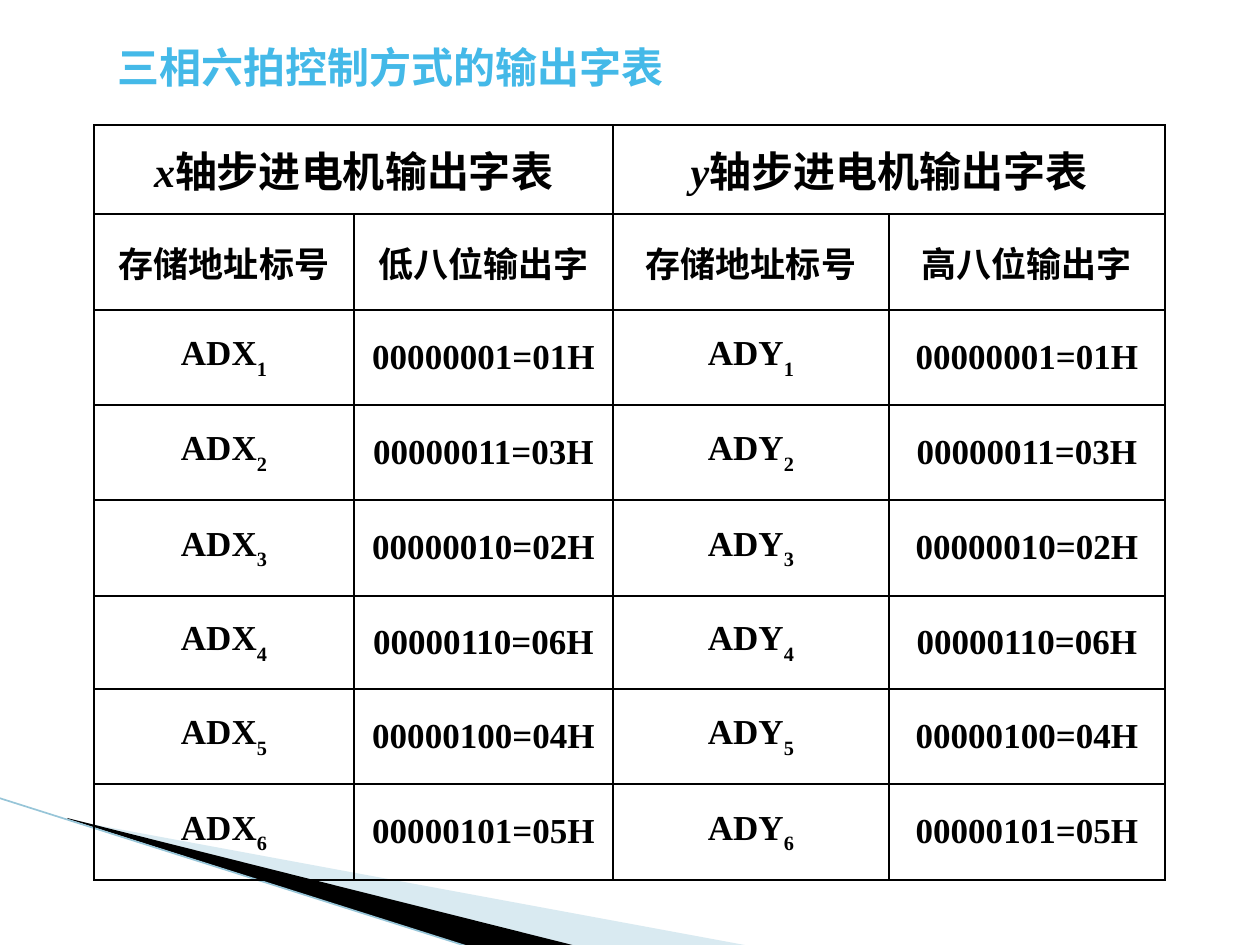
from lxml.etree import SubElement
from pptx import Presentation
from pptx.dml.color import RGBColor
from pptx.enum.shapes import MSO_CONNECTOR as Connector
from pptx.enum.text import MSO_ANCHOR as Anchor, MSO_AUTO_SIZE as AutoSize, PP_ALIGN as Align
from pptx.oxml.ns import qn
from pptx.util import Pt

PX = 7257  # EMU per px, 126 px to the inch
FONT = "Times New Roman"
COLORS = {"title": "44B9E8", "ink": "000000", "pale": "A0CBDC", "edge": "97C5D8"}

COLUMNS = [260, 259, 276, 276]
ROWS = [89, 96, 95, 95, 96, 93, 95, 96]
AXES = ["x", "y"]
SUBHEADS = ["存储地址标号", "低八位输出字", "存储地址标号", "高八位输出字"]
OUTPUT_WORDS = ["00000001=01H", "00000011=03H", "00000010=02H",
                "00000110=06H", "00000100=04H", "00000101=05H"]


def color(name):
    return RGBColor.from_string(COLORS[name])


def style(paragraph, size, ink, align):
    paragraph.alignment = align
    font = paragraph.font
    font.name, font.size, font.bold = FONT, Pt(size), True
    font.color.rgb = color(ink)


def add_title(slide, text):
    title = slide.shapes.title
    title.left, title.top, title.width, title.height = (
        n * PX for n in (105, 35, 575, 63))
    frame = title.text_frame
    frame.text = text
    frame.word_wrap = False
    frame.auto_size = AutoSize.NONE
    frame.vertical_anchor = Anchor.MIDDLE
    style(frame.paragraphs[0], 24, "title", Align.LEFT)


def add_wedge(slide, points, fill, opacity=100):
    builder = slide.shapes.build_freeform(*points[0], scale=PX)
    builder.add_line_segments(points[1:], close=True)
    wedge = builder.convert_to_shape()
    wedge.shadow.inherit = False
    wedge.line.fill.background()
    wedge.fill.solid()
    wedge.fill.fore_color.rgb = color(fill)
    if opacity < 100:
        rgb = wedge._element.spPr.find(".//" + qn("a:srgbClr"))
        SubElement(rgb, qn("a:alpha"), val=str(opacity * 1000))


def add_edge(slide, x1, y1, x2, y2):
    edge = slide.shapes.add_connector(
        Connector.STRAIGHT, *(n * PX for n in (x1, y1, x2, y2)))
    edge.line.color.rgb = color("edge")
    edge.line.width = Pt(0.95)
    SubElement(edge._element.spPr, qn("a:effectLst"))


def format_cell(cell):
    """Give the cell black borders, no fill and a middle anchor."""
    borders = cell._tc.get_or_add_tcPr()
    for side in ("lnL", "lnR", "lnT", "lnB"):
        line = SubElement(borders, qn("a:" + side), w=str(Pt(1)))
        fill = SubElement(line, qn("a:solidFill"))
        SubElement(fill, qn("a:srgbClr"), val=COLORS["ink"])
    cell.fill.background()
    cell.vertical_anchor = Anchor.MIDDLE


def write_cell(cell, *texts, size=20):
    """Fill the cell with one run per text and return the runs."""
    paragraph = cell.text_frame.paragraphs[0]
    style(paragraph, size, "ink", Align.CENTER)
    indents = paragraph._p.get_or_add_pPr()
    indents.set("marL", str(48 * PX))
    indents.set("indent", str(-48 * PX))
    for text in texts:
        paragraph.add_run().text = text
    return paragraph.runs


def add_output_table(slide):
    table = slide.shapes.add_table(
        len(ROWS), len(COLUMNS), 94 * PX, 125 * PX,
        sum(COLUMNS) * PX, sum(ROWS) * PX).table
    table.first_row = table.horz_banding = False
    for column, width in zip(table.columns, COLUMNS):
        column.width = width * PX
    for row, height in zip(table.rows, ROWS):
        row.height = height * PX
    for cell in table.iter_cells():
        format_cell(cell)

    for column, subhead in enumerate(SUBHEADS):
        write_cell(table.cell(1, column), subhead)
    for i, axis in enumerate(AXES):
        left = 2 * i
        heading = table.cell(0, left)
        heading.merge(table.cell(0, left + 1))
        letter, _ = write_cell(heading, axis, "轴步进电机输出字表", size=24)
        letter.font.italic = True
        for step, word in enumerate(OUTPUT_WORDS, 1):
            _, index = write_cell(
                table.cell(step + 1, left), "AD" + axis.upper(), str(step))
            index.font._element.set("baseline", "-30000")
            write_cell(table.cell(step + 1, left + 1), word)


def main():
    deck = Presentation()
    deck.slide_width, deck.slide_height = 1260 * PX, 945 * PX
    slide = deck.slides.add_slide(deck.slide_layouts[5])
    add_wedge(slide, [(69, 820), (750, 946), (575, 946), (69, 819)], "pale", 40)
    add_wedge(slide, [(67, 818), (576, 946), (469, 947), (68, 819)], "ink")
    add_edge(slide, -1, 798, 469, 947)
    add_output_table(slide)
    add_title(slide, "三相六拍控制方式的输出字表")
    deck.save("out.pptx")


if __name__ == "__main__":
    main()
